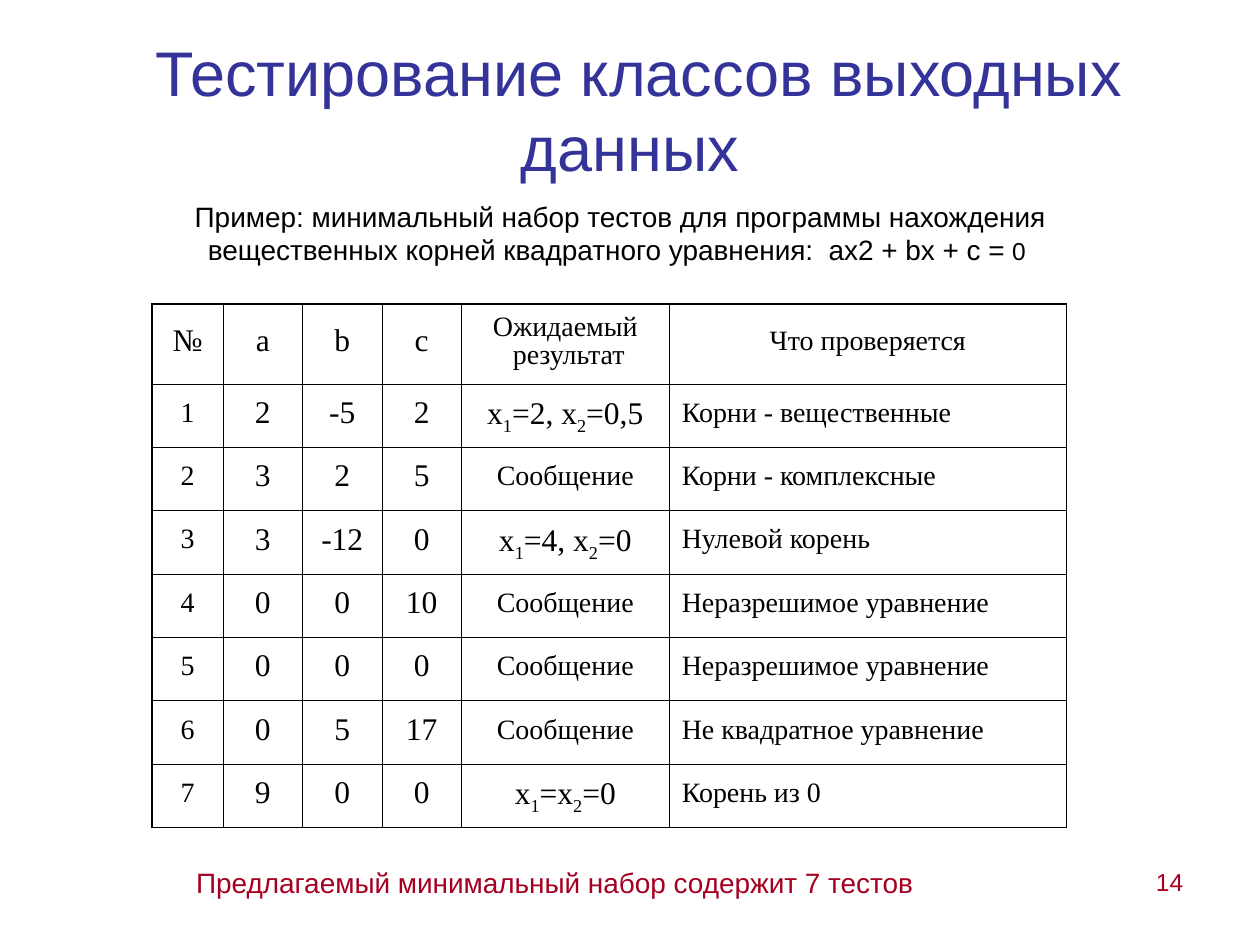
from dataclasses import dataclass

from lxml.etree import SubElement
from pptx import Presentation
from pptx.dml.color import RGBColor
from pptx.enum.text import MSO_ANCHOR as Anchor, PP_ALIGN as Align
from pptx.oxml.ns import qn
from pptx.util import Pt

BLUE = RGBColor(0x33, 0x33, 0x99)
BLACK = RGBColor(0x00, 0x00, 0x00)
RED = RGBColor(0xA5, 0x00, 0x21)
SANS, SERIF = "Arial", "Times New Roman"
THIN, THICK = Pt(0.45), Pt(1.08)

COL_WIDTHS = (40.5, 45.4, 45.4, 45.4, 118.8, 227)
HEADER_HEIGHT, ROW_HEIGHT = 45.9, 36.2
HEADER = ("№", "a", "b", "c", "Ожидаемый\n результат", "Что проверяется")


@dataclass(frozen=True)
class Label:
    box: tuple[float, float, float, float]
    runs: tuple[tuple[str, float], ...]
    color: RGBColor
    align: Align = Align.LEFT
    anchor: Anchor = Anchor.TOP
    space_before: float = 0


@dataclass(frozen=True)
class Case:
    a: int
    b: int
    c: int
    expected: str
    purpose: str


@dataclass(frozen=True)
class CellStyle:
    size: float
    spacing: float
    space_before: float
    align: Align = Align.CENTER


HEAD_SYMBOL = CellStyle(18, 0.7, 4.5)
WORDS = CellStyle(16, 0.7, 4)
PURPOSE = CellStyle(16, 0.7, 4, Align.LEFT)
MATH = CellStyle(18, 0.74, 0)

LABELS = (
    Label((36, 13, 648, 98.6), ((" Тестирование классов выходных данных", 36),),
          BLUE, Align.CENTER, Anchor.MIDDLE),
    Label((50, 110.2, 609, 46),
          (("Пример: минимальный набор тестов для программы нахождения "
            "вещественных корней квадратного уравнения:  ax2 + bx + c =", 16), (" 0 ", 14)),
          BLACK, Align.CENTER, space_before=8.8),
    Label((105, 491, 515.5, 26.6),
          (("Предлагаемый минимальный набор содержит 7 тестов", 16),), RED, space_before=10),
    Label((516.2, 491.8, 167, 36.7), (("14", 14),), RED, Align.RIGHT),
)

MESSAGE = "Сообщение"
CASES = (
    Case(2, -5, 2, "x_1=2, x_2=0,5", "Корни - вещественные"),
    Case(3, 2, 5, MESSAGE, "Корни - комплексные"),
    Case(3, -12, 0, "x_1=4, x_2=0", "Нулевой корень"),
    Case(0, 0, 10, MESSAGE, "Неразрешимое уравнение"),
    Case(0, 0, 0, MESSAGE, "Неразрешимое уравнение"),
    Case(0, 5, 17, MESSAGE, "Не квадратное уравнение"),
    Case(9, 0, 0, "x_1=x_2=0", "Корень из 0"),
)


def add_run(p, text: str, font: str, size: float, color: RGBColor):
    r = p.add_run()
    r.text = text
    r.font.name, r.font.size = font, Pt(size)
    r.font.color.rgb = color
    return r


def add_label(s, label: Label) -> None:
    sp = s.shapes.add_textbox(*map(Pt, label.box))
    tf = sp.text_frame
    tf.word_wrap = True
    tf.vertical_anchor = label.anchor
    p = tf.paragraphs[0]
    p.alignment = label.align
    p.space_before = Pt(label.space_before)
    for text, size in label.runs:
        add_run(p, text, SANS, size, label.color)


def add_math(p, text: str, size: float) -> None:
    """Add runs, setting the character after each underscore as a subscript."""
    first, *rest = text.split("_")
    add_run(p, first, SERIF, size, BLACK)
    for part in rest:
        sub = add_run(p, part[0], SERIF, size, BLACK)
        sub.font._element.set("baseline", "-25000")
        add_run(p, part[1:], SERIF, size, BLACK)


def fill_cell(cell, text: str, style: CellStyle) -> None:
    cell.vertical_anchor = Anchor.MIDDLE
    tf = cell.text_frame
    for i, line in enumerate(text.split("\n")):
        p = tf.add_paragraph() if i else tf.paragraphs[0]
        p.alignment = style.align
        p.line_spacing = style.spacing
        p.space_before = Pt(style.space_before)
        add_math(p, line, style.size)


def set_borders(cell, outer: dict[str, bool]) -> None:
    """Draw the four sides, thick where the side lies on the table's outline."""
    tc_pr = cell._tc.get_or_add_tcPr()
    for side, is_outer in outer.items():
        ln = SubElement(tc_pr, qn(f"a:ln{side}"), w=str(THICK if is_outer else THIN))
        fill = SubElement(ln, qn("a:solidFill"))
        SubElement(fill, qn("a:srgbClr"), val=str(BLACK))
    cell.fill.background()


def cell_style(row: int, col: int, text: str) -> CellStyle:
    if row == 0:
        return HEAD_SYMBOL if col < 4 else WORDS
    if col == 5:
        return PURPOSE
    return WORDS if col == 0 or text == MESSAGE else MATH


def add_case_table(s, cases: tuple[Case, ...]) -> None:
    rows = [HEADER] + [(str(n), str(k.a), str(k.b), str(k.c), k.expected, k.purpose)
                       for n, k in enumerate(cases, 1)]
    heights = [HEADER_HEIGHT] + [ROW_HEIGHT] * len(cases)
    last_row, last_col = len(rows) - 1, len(HEADER) - 1
    table = s.shapes.add_table(len(rows), len(HEADER), Pt(87), Pt(173.6),
                               Pt(sum(COL_WIDTHS)), Pt(sum(heights))).table
    table.first_row = table.horz_banding = False
    for column, width in zip(table.columns, COL_WIDTHS):
        column.width = Pt(width)
    for i, (texts, height) in enumerate(zip(rows, heights)):
        table.rows[i].height = Pt(height)
        for j, text in enumerate(texts):
            cell = table.cell(i, j)
            fill_cell(cell, text, cell_style(i, j, text))
            set_borders(cell, {"L": j == 0, "R": j == last_col,
                               "T": i == 0, "B": i == last_row})


def main() -> None:
    prs = Presentation()
    prs.slide_width, prs.slide_height = Pt(720), Pt(540)
    s = prs.slides.add_slide(prs.slide_layouts[6])
    for label in LABELS:
        add_label(s, label)
    add_case_table(s, CASES)
    prs.save("out.pptx")


if __name__ == "__main__":
    main()
